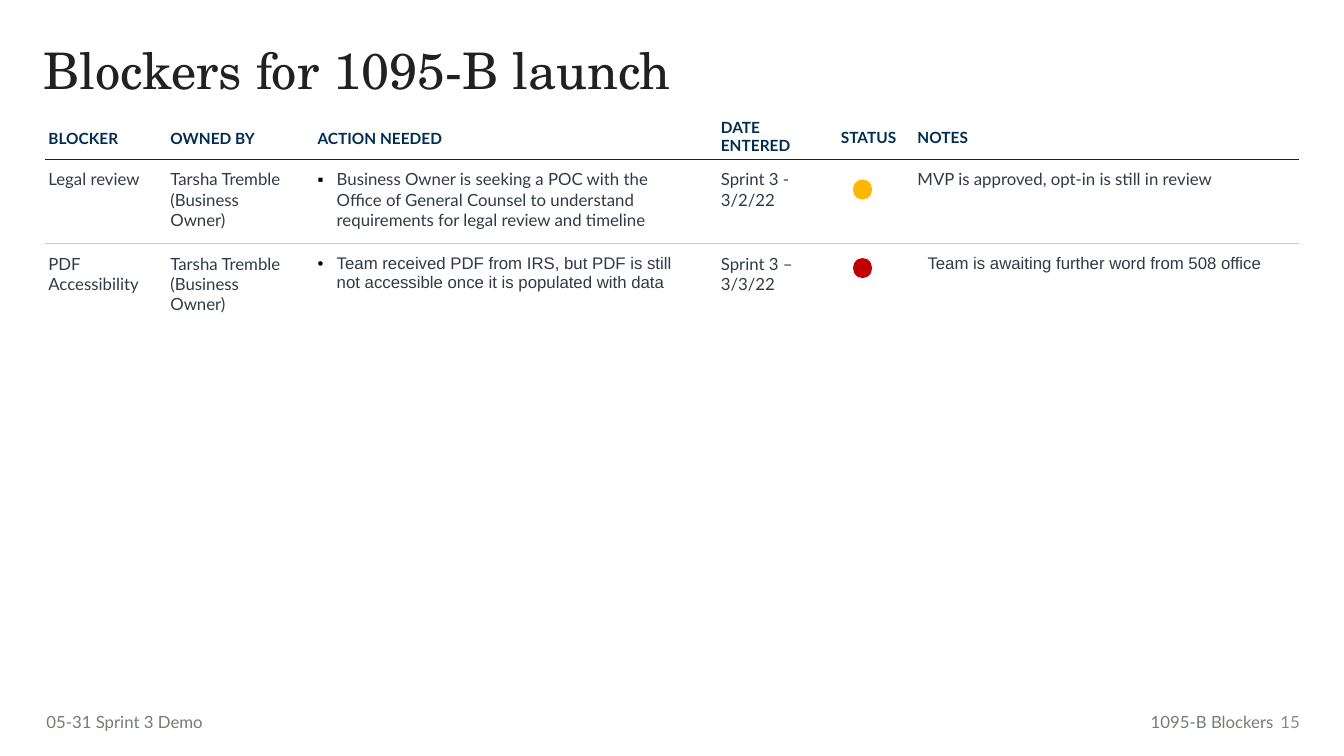
from lxml import etree
from pptx import Presentation
from pptx import util as u
from pptx.dml.color import RGBColor
from pptx.enum import shapes, text
from pptx.oxml import ns

INK = RGBColor(0x20, 0x21, 0x20)
NAVY = RGBColor(0x02, 0x2D, 0x50)
SLATE = RGBColor(0x30, 0x3A, 0x46)
RULE = RGBColor(0xC7, 0xC7, 0xC7)
FOOTER = RGBColor(0x74, 0x7C, 0x74)
NUMBER = RGBColor(0x8A, 0x8A, 0x8A)
AMBER = RGBColor(0xFE, 0xB6, 0x00)
RED = RGBColor(0xC0, 0x00, 0x00)
BLACK = RGBColor(0, 0, 0)

TITLE_FONT = {"name": "TeX Gyre Schola", "size": u.Pt(36), "bold": False}
HEADER_FONT = {"name": "Lato", "size": u.Pt(11), "bold": True}
BODY_FONT = {"name": "Lato", "size": u.Pt(12), "bold": False}
ARIAL_FONT = {**BODY_FONT, "name": "Arial"}

NO_STYLE = "{2D5ABB26-0587-4C30-8999-92F81FD0307C}"
COLUMNS = [1.21, 1.46, 4, 1.19, 0.69, 3.88]
ROWS = [0.44, 0.84, 0.84]
ACTION, STATUS, NOTES = 2, 4, 5
HEADERS = ["BLOCKER", "OWNED BY", "ACTION NEEDED", "DATE\nENTERED", "STATUS", "NOTES"]
BLOCKERS = [
    ["Legal review", "Tarsha Tremble (Business Owner)",
     "Business Owner is seeking a POC with the Office of General Counsel "
     "to understand requirements for legal review and timeline",
     "Sprint 3 -\n3/2/22", "", "MVP is approved, opt-in is still in review"],
    ["PDF Accessibility", "Tarsha Tremble (Business Owner)",
     "Team received PDF from IRS, but PDF is still not accessible "
     "once it is populated with data",
     "Sprint 3 – 3/3/22", "", "Team is awaiting further word from 508 office"],
]
BULLETS = ["▪", "•"]


def add_child(parent, tag, **attributes):
    return etree.SubElement(parent, ns.qn(tag), attributes)


def apply(target, values):
    for name, value in values.items():
        setattr(target, name, value)


def style_paragraph(para, font, color, **layout):
    apply(para, layout)
    apply(para.font, font)
    para.font.color.rgb = color


def set_margins(target, left, top, right, bottom):
    apply(target, {"margin_left": u.Inches(left), "margin_top": u.Inches(top),
                   "margin_right": u.Inches(right), "margin_bottom": u.Inches(bottom)})


def indent(para, left, first=0, bullet=None):
    properties = para._p.get_or_add_pPr()
    properties.set("marL", str(u.Inches(left)))
    properties.set("indent", str(u.Inches(first)))
    if bullet:
        add_child(add_child(properties, "a:buClr"), "a:srgbClr", val=str(BLACK))
        add_child(properties, "a:buFont", typeface="Arial")
        add_child(properties, "a:buChar", char=bullet)


def set_borders(cell, top, bottom):
    properties = cell._tc.get_or_add_tcPr()
    for side, color in zip("LRTB", (None, None, top, bottom)):
        line = add_child(properties, f"a:ln{side}", w=str(u.Pt(1)))
        if color is None:
            add_child(line, "a:noFill")
        else:
            add_child(add_child(line, "a:solidFill"), "a:srgbClr", val=str(color))
    cell.fill.background()


def add_title(page, left, top, width, height):
    title = page.shapes.title
    apply(title, {"left": u.Inches(left), "top": u.Inches(top),
                  "width": u.Inches(width), "height": u.Inches(height)})
    title.text_frame.text = "Blockers for 1095-B launch"
    title.text_frame.vertical_anchor = text.MSO_ANCHOR.TOP
    style_paragraph(title.text_frame.paragraphs[0], TITLE_FONT, INK,
                    line_spacing=0.9, alignment=text.PP_ALIGN.LEFT)


def fill_header(cell, column):
    cell.text = HEADERS[column]
    set_margins(cell, 0.1 if column == NOTES else 0.03, 0.03, 0.03, 0.03)
    if "\n" not in cell.text:
        cell.vertical_anchor = text.MSO_ANCHOR.MIDDLE
    for para in cell.text_frame.paragraphs:
        style_paragraph(para, HEADER_FONT, NAVY,
                        line_spacing=1.15 if column <= ACTION else 1.0)
    set_borders(cell, None, INK)


def fill_blocker(cell, index, column):
    cell.text = BLOCKERS[index][column]
    set_margins(cell, 0.1 if column == NOTES else 0.03, 0.1,
                0.2 if column <= ACTION else 0.03, 0.1)
    font = ARIAL_FONT if index == 1 and column in (ACTION, NOTES) else BODY_FONT
    for para in cell.text_frame.paragraphs:
        if column == ACTION:
            indent(para, 0.19, -0.19, BULLETS[index])
        elif column == NOTES and index == 1:
            indent(para, 0.1)
        style_paragraph(para, font, SLATE)
    set_borders(cell, RULE if index else INK, None if index else RULE)


def add_status(page, left, top, color):
    dot = page.shapes.add_shape(shapes.MSO_SHAPE.OVAL, u.Inches(left), u.Inches(top),
                                u.Inches(0.19), u.Inches(0.2))
    dot.shadow.inherit = False
    dot.fill.solid()
    dot.fill.fore_color.rgb = color
    dot.line.fill.background()


def add_blocker_table(page, left, top):
    frame = page.shapes.add_table(len(ROWS), len(COLUMNS), u.Inches(left), u.Inches(top),
                                  u.Inches(sum(COLUMNS)), u.Inches(sum(ROWS)))
    table = frame.table
    apply(table, {"first_row": False, "horz_banding": False})
    table._tbl.tblPr.find(ns.qn("a:tableStyleId")).text = NO_STYLE
    for column, width in zip(table.columns, COLUMNS):
        column.width = u.Inches(width)
    for row, height in zip(table.rows, ROWS):
        row.height = u.Inches(height)
    for column in range(len(COLUMNS)):
        fill_header(table.cell(0, column), column)
        for index in range(len(BLOCKERS)):
            fill_blocker(table.cell(index + 1, column), index, column)
    status_left = left + sum(COLUMNS[:STATUS]) + 0.15
    for offset, color in ((0.64, AMBER), (1.42, RED)):
        add_status(page, status_left, top + offset, color)


def add_label(page, words, left, top, width, height, color, alignment, inset=0.1):
    box = page.shapes.add_textbox(u.Inches(left), u.Inches(top),
                                  u.Inches(width), u.Inches(height))
    frame = box.text_frame
    frame.text = words
    apply(frame, {"word_wrap": True, "vertical_anchor": text.MSO_ANCHOR.MIDDLE})
    set_margins(frame, inset, 0.05, 0.1, 0.05)
    style_paragraph(frame.paragraphs[0], BODY_FONT, color, alignment=alignment)


def add_footer(page, left, top, right):
    align = text.PP_ALIGN
    add_label(page, "05-31 Sprint 3 Demo", left, top, 2.98, 0.3, FOOTER, align.LEFT, 0)
    add_label(page, "1095-B Blockers", right - 1.9, top, 1.64, 0.3, FOOTER, align.RIGHT)
    add_label(page, "15", right - 0.44, top - 0.05, 0.44, 0.4, NUMBER, align.RIGHT)


def main():
    deck = Presentation()
    deck.slide_width, deck.slide_height = u.Inches(13.33), u.Inches(7.5)
    page = deck.slides.add_slide(deck.slide_layouts[5])
    add_title(page, 0.33, 0.41, 8.81, 1.45)
    add_blocker_table(page, 0.45, 1.14)
    add_footer(page, 0.46, 7.01, 12.99)
    deck.save("out.pptx")


if __name__ == "__main__":
    main()
